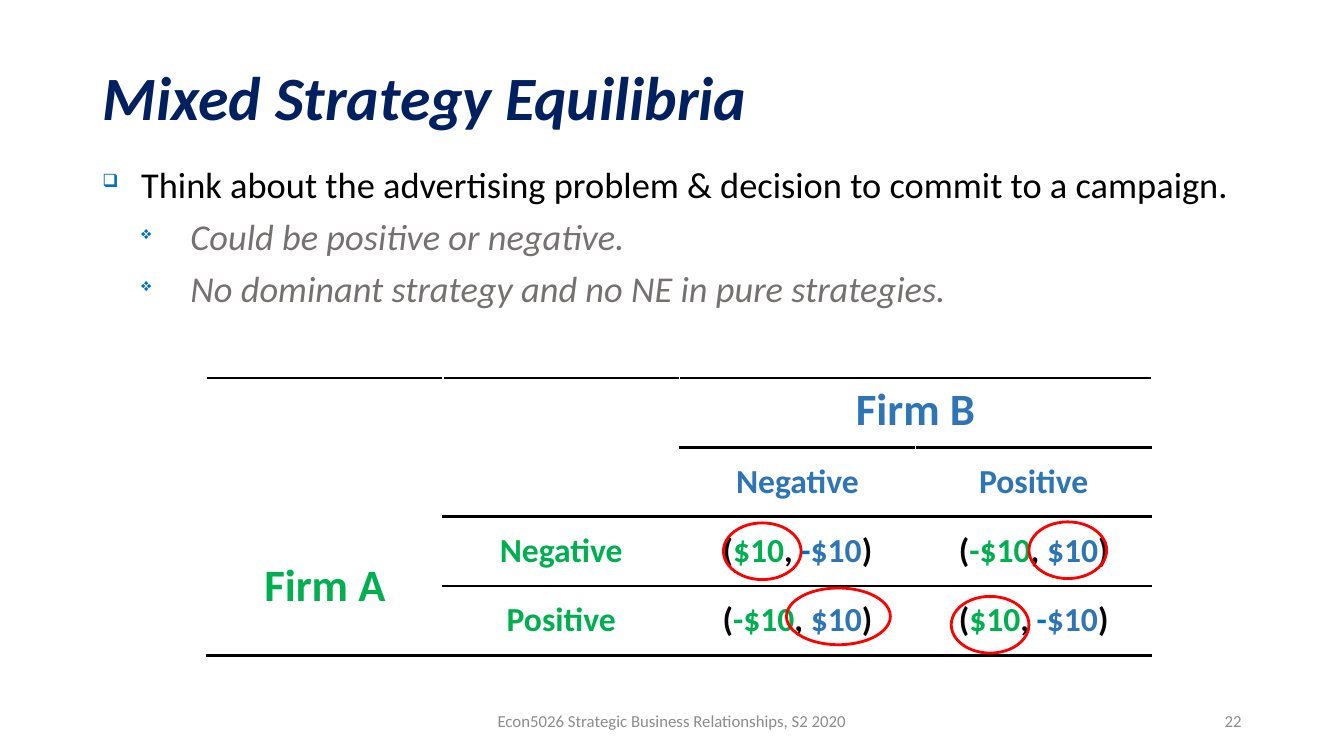
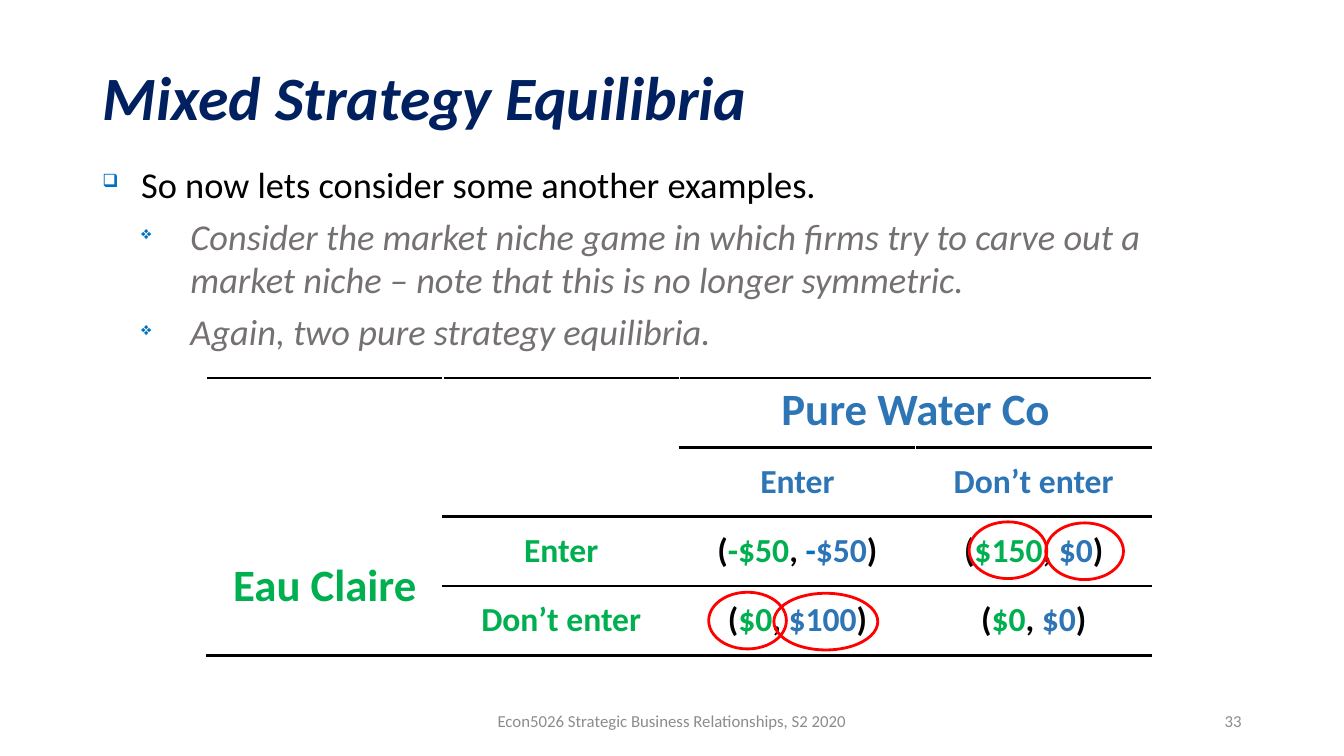
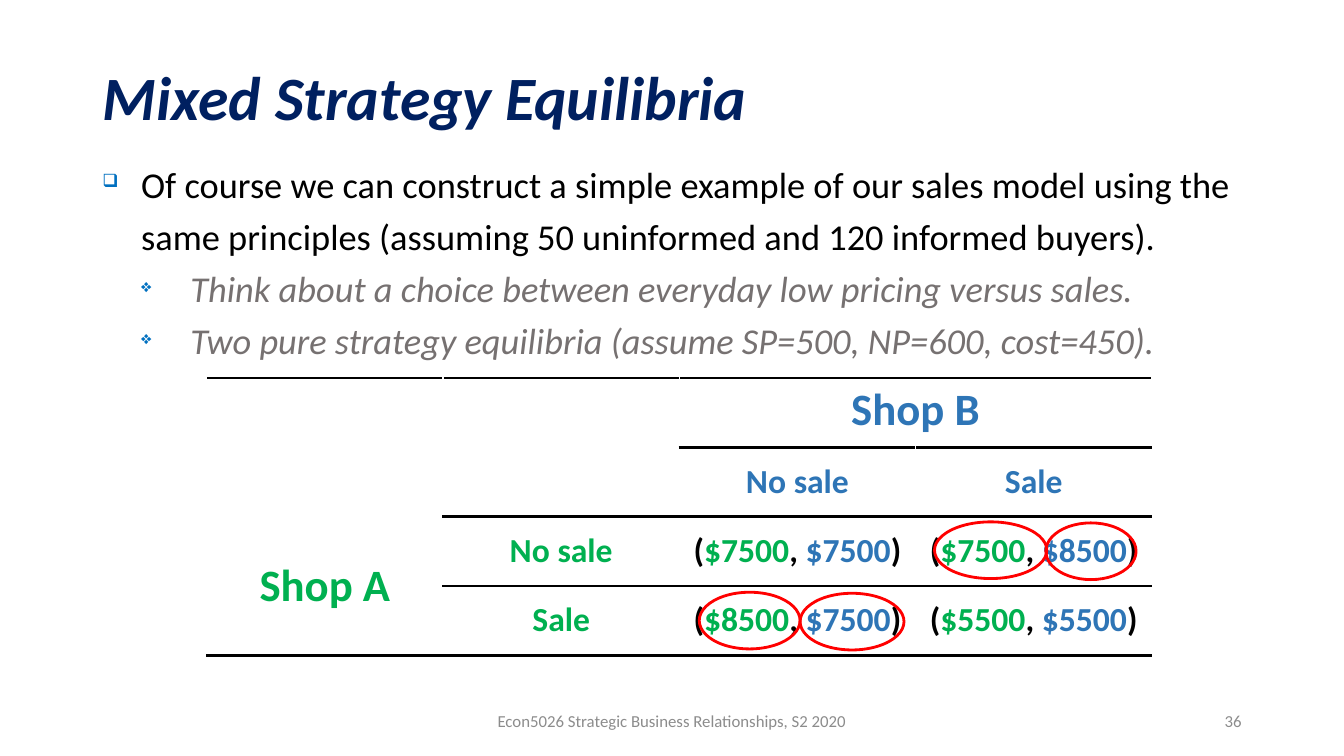
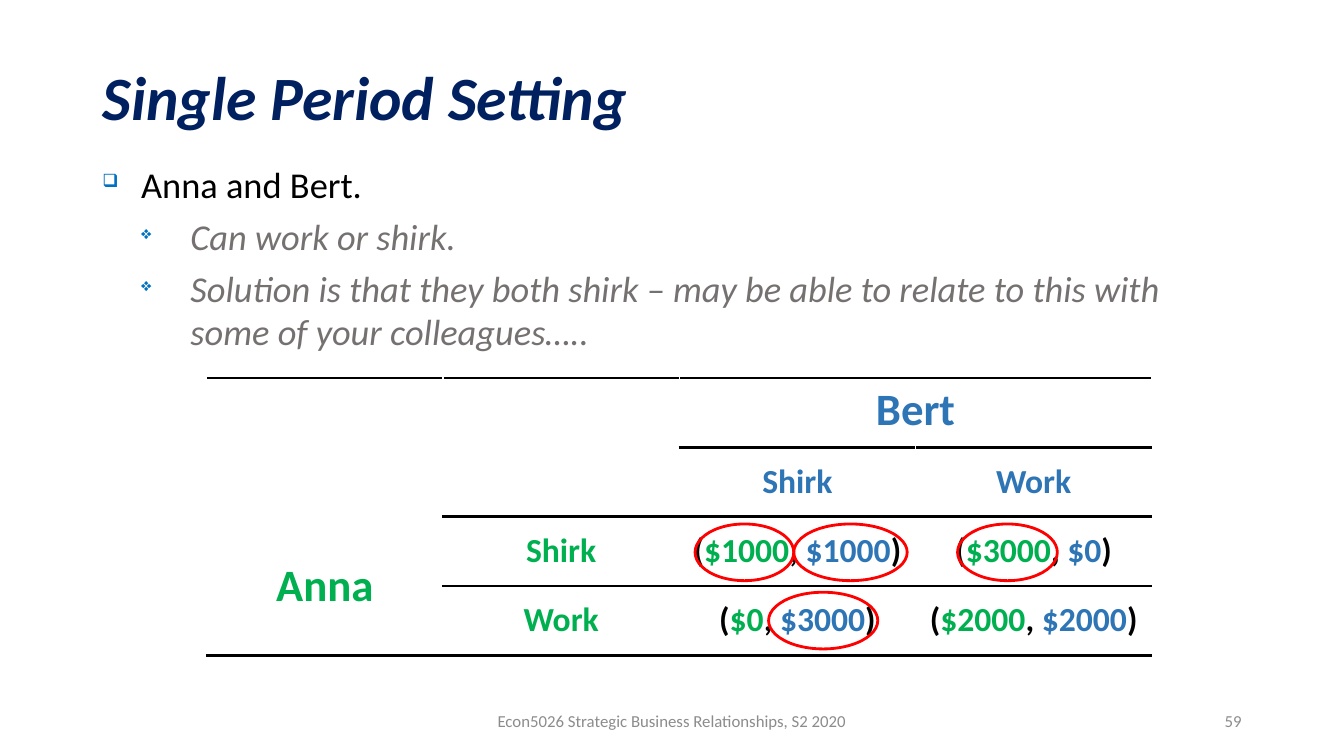
from lxml import etree
from pptx import Presentation
from pptx.dml.color import RGBColor
from pptx.enum.shapes import MSO_SHAPE
from pptx.enum.text import MSO_ANCHOR, MSO_AUTO_SIZE, PP_ALIGN
from pptx.oxml.ns import qn
from pptx.util import Pt

LEFT, CENTER, RIGHT = PP_ALIGN.LEFT, PP_ALIGN.CENTER, PP_ALIGN.RIGHT
TOP, MIDDLE = MSO_ANCHOR.TOP, MSO_ANCHOR.MIDDLE
ELLIPSE = MSO_SHAPE.OVAL
NO_AUTOFIT = MSO_AUTO_SIZE.NONE

FONT = "Calibri"
NAVY, BLACK, GRAY, PALE = "002060", "000000", "767171", "8C8C8C"
GREEN, BLUE, BRIGHT, RED = "00B050", "2E75B6", "0070C0", "FF0000"

TITLE_AREA = (88, 38, 1104, 116)
BODY_AREA = (88, 141, 1104, 507)
FOOTER_AREA = (424, 667, 432, 38)
NUMBER_AREA = (904, 667, 288, 38)
GAME_LEFT, GAME_TOP, COLUMN, ROW, SIDE = 197, 360, 225, 66, 4
RING_HEIGHT = 54

FOOTER = "Econ5026 Strategic Business Relationships, S2 2020"
POINT = dict(mark="❑", margin=37, hang=37, spacing=1.2, before=10, color=BLACK)
SUBPOINT = dict(mark="❖", margin=84, hang=47, before=6, color=GRAY, italic=True)
RULES = {0: (0, 2.25), 1: (2, 2.25), 2: (1, 2.25), 3: (1, 1.5), 4: (0, 2.25)}

LESSONS = [
    {
        "title": "Mixed Strategy Equilibria",
        "number": 22,
        "point": "Think about the advertising problem & decision to commit to a campaign.",
        "subpoints": ["Could be positive or negative.",
                      "No dominant strategy and no NE in pure strategies."],
        "players": ("Firm A", "Firm B"),
        "moves": ("Negative", "Positive"),
        "payoffs": [[("$10", "-$10"), ("-$10", "$10")],
                    [("-$10", "$10"), ("$10", "-$10")]],
        "rings": [(980, 497, 74), (749, 560, 99), (906, 568, 74), (689, 498, 74)],
    },
    {
        "title": "Mixed Strategy Equilibria",
        "number": 33,
        "point": "So now lets consider some another examples.",
        "subpoints": ["Consider the market niche game in which firms try to carve out a "
                      "market niche – note that this is no longer symmetric.",
                      "Again, two pure strategy equilibria."],
        "players": ("Eau Claire", "Pure Water Co"),
        "moves": ("Enter", "Don’t enter"),
        "payoffs": [[("-$50", "-$50"), ("$150", "$0")],
                    [("$0", "$100"), ("$0", "$0")]],
        "rings": [(996, 498, 74), (737, 565, 99), (923, 497, 74), (675, 564, 74)],
    },
    {
        "title": "Mixed Strategy Equilibria",
        "number": 36,
        "point": "Of course we can construct a simple example of our sales model using the "
                 "same principles (assuming 50 uninformed and 120 informed buyers).",
        "subpoints": ["Think about a choice between everyday low pricing versus sales.",
                      "Two pure strategy equilibria (assume SP=500, NP=600, cost=450)."],
        "players": ("Shop A", "Shop B"),
        "moves": ("No sale", "Sale"),
        "payoffs": [[("$7500", "$7500"), ("$7500", "$8500")],
                    [("$8500", "$7500"), ("$5500", "$5500")]],
        "rings": [(996, 498, 86), (762, 565, 99), (890, 497, 107), (666, 564, 96)],
    },
    {
        "title": "Single Period Setting",
        "number": 59,
        "point": "Anna and Bert.",
        "subpoints": ["Can work or shirk.",
                      "Solution is that they both shirk – may be able to relate to this with "
                      "some of your colleagues….."],
        "players": ("Anna", "Bert"),
        "moves": ("Shirk", "Work"),
        "payoffs": [[("$1000", "$1000"), ("$3000", "$0")],
                    [("$0", "$3000"), ("$2000", "$2000")]],
        "rings": [(756, 499, 108), (732, 564, 104), (912, 499, 95), (662, 499, 94)],
    },
]


def px(length):
    return length * 9525


def rgb(color):
    return RGBColor.from_string(color)


def add_bullet(paragraph, mark, margin, hang):
    properties = paragraph._p.get_or_add_pPr()
    properties.set("marL", str(px(margin)))
    properties.set("indent", str(px(-hang)))
    tint = etree.SubElement(properties, qn("a:buClr"))
    etree.SubElement(tint, qn("a:srgbClr")).set("val", BRIGHT)
    etree.SubElement(properties, qn("a:buSzPct")).set("val", "50000")
    etree.SubElement(properties, qn("a:buChar")).set("char", mark)


def write(frame, text, size=26, color=BLACK, bold=False, italic=False, align=LEFT,
          spacing=1, before=0, mark=None, margin=0, hang=0):
    pieces = [(text, color)] if isinstance(text, str) else text
    first = not frame.text
    paragraph = frame.paragraphs[0] if first else frame.add_paragraph()
    if mark:
        add_bullet(paragraph, mark, margin, hang)
    paragraph.alignment = align
    paragraph.line_spacing = spacing
    paragraph.space_before = Pt(0 if first else before)
    for piece, tint in pieces:
        run = paragraph.add_run()
        run.text = piece
        run.font.name = FONT
        run.font.size = Pt(size)
        run.font.bold = bold
        run.font.italic = italic
        run.font.color.rgb = rgb(tint)


def add_frame(slide, area, anchor=TOP):
    frame = slide.shapes.add_textbox(*map(px, area)).text_frame
    frame.word_wrap = True
    frame.vertical_anchor = anchor
    return frame


def add_title(slide, text):
    title = slide.shapes.title
    title.left, title.top, title.width, title.height = map(px, TITLE_AREA)
    title.text_frame.auto_size = NO_AUTOFIT
    title.text_frame.vertical_anchor = MIDDLE
    write(title.text_frame, text, size=44, color=NAVY, bold=True, italic=True, spacing=0.9)


def add_footer(slide, number):
    for text, area, align in ((FOOTER, FOOTER_AREA, CENTER), (str(number), NUMBER_AREA, RIGHT)):
        write(add_frame(slide, area, MIDDLE), text, size=12, color=PALE, align=align)


def draw_rule(cell, tag, width):
    line = etree.SubElement(cell._tc.get_or_add_tcPr(), qn(tag))
    line.set("w", str(Pt(width)))
    fill = etree.SubElement(line, qn("a:solidFill"))
    etree.SubElement(fill, qn("a:srgbClr")).set("val", BLACK)


def payoff_runs(row_gain, column_gain):
    sign = [("-", BRIGHT)] if column_gain.startswith("-") else []
    return [("(", BLACK), (row_gain, GREEN), (", ", BLACK), *sign,
            (column_gain.lstrip("-"), BLUE), (")", BLACK)]


def add_game(slide, players, moves, payoffs):
    game = slide.shapes.add_table(SIDE, SIDE, px(GAME_LEFT), px(GAME_TOP),
                                  px(COLUMN * SIDE), px(ROW * SIDE)).table
    game.first_row = game.horz_banding = False
    for column in game.columns:
        column.width = px(COLUMN)
    game.cell(0, 2).merge(game.cell(0, 3))
    game.cell(2, 0).merge(game.cell(3, 0))

    for r in range(SIDE):
        for c in range(SIDE):
            cell = game.cell(r, c)
            below = r + (cell.span_height if cell.is_merge_origin else 1)
            for tag, edge in (("a:lnT", r), ("a:lnB", below)):
                start, width = RULES[edge]
                if c >= start:
                    draw_rule(cell, tag, width)
            cell.fill.background()

    entries = {(0, 2): (players[1], BLUE, 32), (2, 0): (players[0], GREEN, 32)}
    for i, move in enumerate(moves, 2):
        entries[1, i] = (move, BLUE, 24)
        entries[i, 1] = (move, GREEN, 24)
        for j, gains in enumerate(payoffs[i - 2], 2):
            entries[i, j] = (payoff_runs(*gains), BLACK, 24)
    for (r, c), (text, color, size) in entries.items():
        cell = game.cell(r, c)
        cell.vertical_anchor = MIDDLE if r else TOP
        write(cell.text_frame, text, size=size, color=color, bold=True, align=CENTER)


def add_ring(slide, left, top, width):
    ring = slide.shapes.add_shape(ELLIPSE, px(left), px(top), px(width), px(RING_HEIGHT))
    ring.shadow.inherit = False
    ring.fill.background()
    ring.line.color.rgb = rgb(RED)
    ring.line.width = Pt(2)


def main():
    deck = Presentation()
    deck.slide_width, deck.slide_height = px(1280), px(720)
    for lesson in LESSONS:
        slide = deck.slides.add_slide(deck.slide_layouts[5])
        add_title(slide, lesson["title"])
        body = add_frame(slide, BODY_AREA)
        write(body, lesson["point"], **POINT)
        for subpoint in lesson["subpoints"]:
            write(body, subpoint, **SUBPOINT)
        add_footer(slide, lesson["number"])
        add_game(slide, lesson["players"], lesson["moves"], lesson["payoffs"])
        for ring in lesson["rings"]:
            add_ring(slide, *ring)
    deck.save("out.pptx")


if __name__ == "__main__":
    main()
